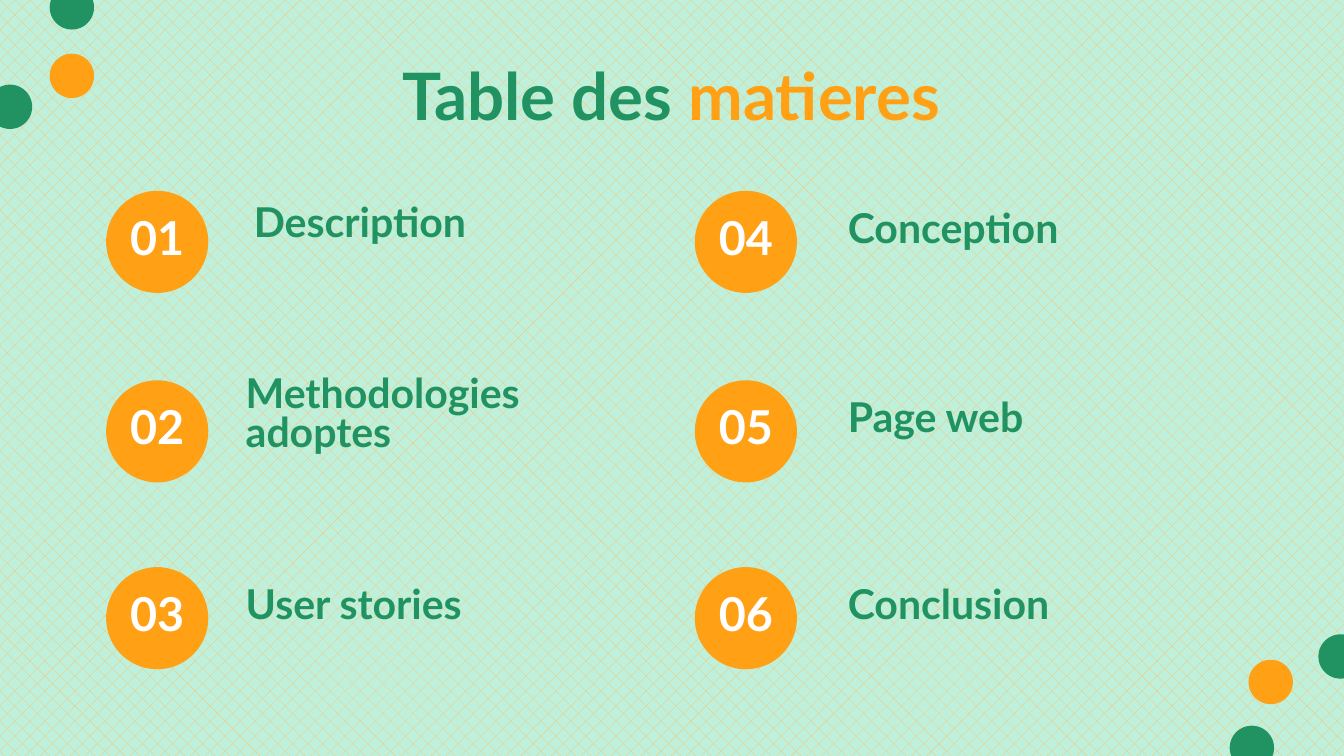
import pptx
import pptx.util
import pptx.dml.color
import pptx.enum.dml
import pptx.enum.shapes
import pptx.enum.text

Inches = pptx.util.Inches
RGBColor = pptx.dml.color.RGBColor
ALIGN = pptx.enum.text.PP_ALIGN
ANCHOR = pptx.enum.text.MSO_ANCHOR

GREEN = RGBColor(0x21, 0x93, 0x62)
ORANGE = RGBColor(0xFF, 0xA0, 0x15)
WHITE = RGBColor(0xFF, 0xFF, 0xFF)
MINT = RGBColor(0xBE, 0xF0, 0xDB)
PEACH = RGBColor(0xFF, 0xC2, 0x69)

FONT = "Lato"
SLIDE_WIDTH = 10
DOT = 0.33
BADGE = 0.76
ROW_OFFSETS = (0, 1.41, 2.8)

# Each entry: label, then its left and top offset from the number badge
COLUMNS = [
    (0.79, [("Description", 1.0, 0.15),
            ("Methodologies adoptes", 0.94, 0.3),
            ("User stories", 0.94, 0.19)]),
    (5.17, [("Conception", 1.04, 0.19),
            ("Page web", 1.04, 0.19),
            ("Conclusion", 1.04, 0.19)]),
]


def set_text(s, *runs, size, align=ALIGN.LEFT, anchor=ANCHOR.TOP, inset=0.1):
    """Fill a shape with one paragraph of (text, colour) runs."""
    tf = s.text_frame
    tf.word_wrap = True
    tf.auto_size = pptx.enum.text.MSO_AUTO_SIZE.NONE
    tf.vertical_anchor = anchor
    tf.margin_left = tf.margin_right = Inches(inset)
    tf.margin_top = tf.margin_bottom = Inches(inset)
    p = tf.paragraphs[0]
    p.alignment = align
    p.line_spacing = 0.8
    for text, color in runs:
        r = p.add_run()
        r.text = text
        r.font.name = FONT
        r.font.size = pptx.util.Pt(size)
        r.font.bold = True
        r.font.color.rgb = color


def add_circle(slide, left, top, diameter, color):
    s = slide.shapes.add_shape(
        pptx.enum.shapes.MSO_SHAPE.OVAL,
        Inches(left), Inches(top), Inches(diameter), Inches(diameter))
    s.shadow.inherit = False
    s.fill.solid()
    s.fill.fore_color.rgb = color
    s.line.fill.background()
    return s


def add_background(slide):
    fill = slide.background.fill
    fill.patterned()
    fill.pattern = pptx.enum.dml.MSO_PATTERN.PERCENT_25
    fill.fore_color.rgb = PEACH
    fill.back_color.rgb = MINT


def add_corner_dots(slide, left, top, dots):
    for dx, dy, color in dots:
        add_circle(slide, left + dx, top + dy, DOT, color)


def add_title(slide, left, top, width, height):
    s = slide.shapes.title
    s.left, s.top = Inches(left), Inches(top)
    s.width, s.height = Inches(width), Inches(height)
    set_text(s, ("Table des ", GREEN), ("matieres", ORANGE),
             size=35, align=ALIGN.CENTER)


def add_entry(slide, left, top, number, label, dx, dy):
    badge = add_circle(slide, left, top, BADGE, ORANGE)
    set_text(badge, (f"{number:02d}", WHITE), size=25,
             align=ALIGN.CENTER, anchor=ANCHOR.MIDDLE, inset=0)
    s = slide.shapes.add_textbox(
        Inches(left + dx), Inches(top + dy), Inches(3.01), Inches(0.36))
    set_text(s, (label, GREEN), size=22, anchor=ANCHOR.BOTTOM)


def add_contents(slide, top):
    number = 1
    for left, entries in COLUMNS:
        for offset, (label, dx, dy) in zip(ROW_OFFSETS, entries):
            add_entry(slide, left, top + offset, number, label, dx, dy)
            number += 1


def main():
    prs = pptx.Presentation()
    prs.slide_width = Inches(SLIDE_WIDTH)
    prs.slide_height = Inches(SLIDE_WIDTH * 9 / 16)
    slide = prs.slides.add_slide(prs.slide_layouts.get_by_name("Title Only"))
    add_background(slide)
    add_corner_dots(slide, 9.15, 4.72, [
        (0.66, 0, GREEN), (0, 0.68, GREEN), (0.14, 0.19, ORANGE)])
    add_corner_dots(slide, -0.09, -0.11, [
        (0, 0.74, GREEN), (0.46, 0.51, ORANGE), (0.46, 0, GREEN)])
    add_title(slide, 0.79, 0.42, 8.41, 0.63)
    add_contents(slide, 1.42)
    prs.save("out.pptx")


if __name__ == "__main__":
    main()
